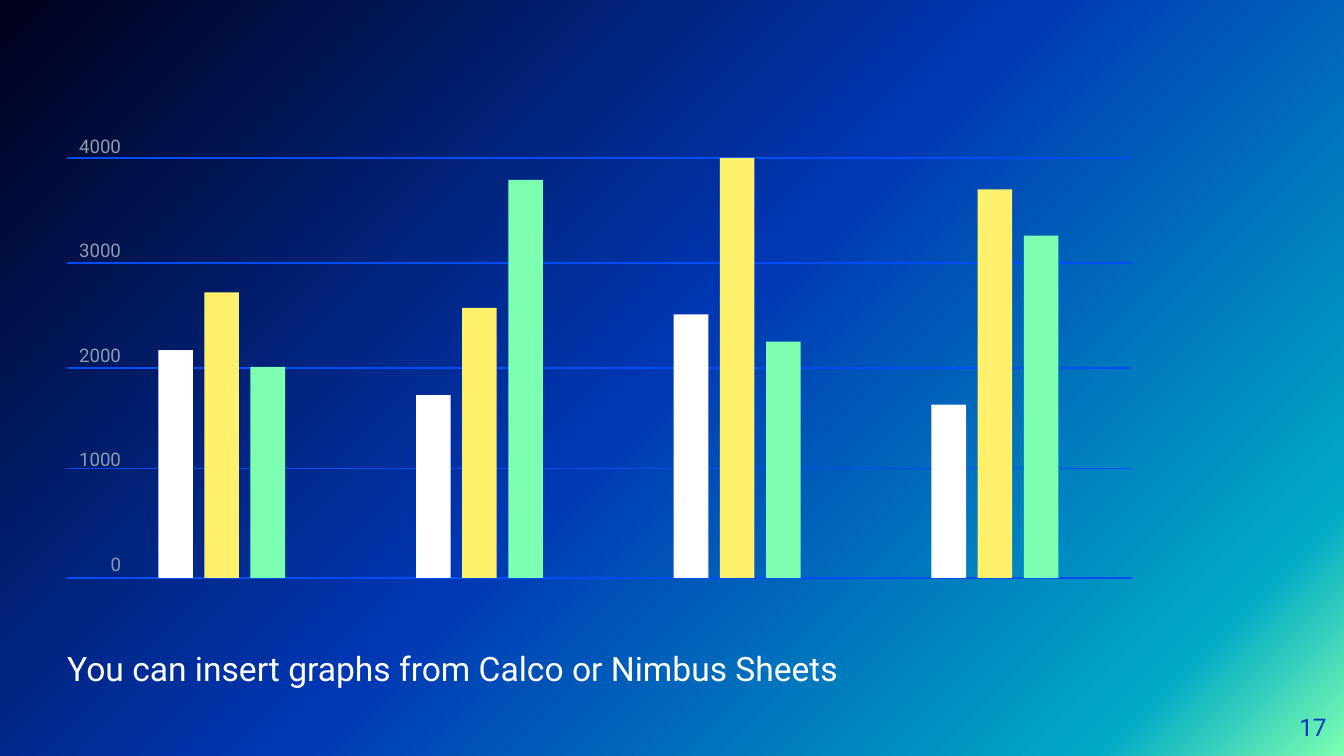
from collections import namedtuple

from lxml.etree import SubElement
from pptx import Presentation
from pptx.dml.color import RGBColor
from pptx.enum.shapes import MSO_CONNECTOR, MSO_SHAPE
from pptx.enum.text import MSO_ANCHOR, PP_ALIGN
from pptx.oxml.ns import qn
from pptx.util import Inches, Pt

COLORS = {
    "white": "FFFFFF",
    "yellow": "FFF16B",
    "mint": "7DFFB1",
    "teal": "00AAC6",
    "blue": "0037B3",
    "night": "00001A",
    "grid": "004CF8",
    "axis": "9199AA",
}
FONT = "Roboto"
WIDTH = Inches(10)
HEIGHT = WIDTH * 9 // 16
CELL = WIDTH // 100  # the slide is a grid of 100 columns

BACKDROP = [(0, "mint"), (12, "teal"), (51, "blue"), (100, "night")]
SERIES_COLORS = ["white", "yellow", "mint"]
CATEGORIES = [
    (2170, 2720, 2010),
    (1740, 2570, 3790),
    (2510, 4000, 2250),
    (1650, 3700, 3260),
]
AXIS_MAX = 4000
AXIS_LABELS = ["4000", "3000", "2000", "1000", "0"]
GRIDLINE_SHARES = [0, 0.25, 0.5, 0.74, 1]

# Columns of the chart's own grid
CHART_COLUMNS = 92.3
FIRST_BAR, BAR_WIDTH, BAR_STEP, CATEGORY_STEP = 7.9, 3, 4, 22.35

Box = namedtuple("Box", "left top width height")


def grid_box(column, row, columns, rows):
    return Box(*(round(count * CELL) for count in (column, row, columns, rows)))


def rgb(name):
    return RGBColor.from_string(COLORS[name])


def paint_backdrop(slide):
    fill = slide.background.fill
    fill.gradient()
    fill.gradient_angle = 135
    stops = slide.element.find(".//" + qn("a:gsLst"))
    stops.clear()
    for percent, color in BACKDROP:
        stop = SubElement(stops, qn("a:gs"), pos=str(percent * 1000))
        SubElement(stop, qn("a:srgbClr"), val=COLORS[color])


def add_text(slide, box, lines, size, color, align=PP_ALIGN.LEFT,
             anchor=MSO_ANCHOR.TOP):
    """Add a text box without margins and return its paragraphs."""
    frame = slide.shapes.add_textbox(*box).text_frame
    frame.word_wrap = True
    frame.vertical_anchor = anchor
    frame.margin_left = frame.margin_right = 0
    frame.margin_top = frame.margin_bottom = 0
    frame.text = "\n".join(lines)
    for paragraph in frame.paragraphs:
        paragraph.alignment = align
        font = paragraph.runs[0].font
        font.name, font.size = FONT, Pt(size)
        font.color.rgb = rgb(color)
    return frame.paragraphs


def add_gridlines(slide, box):
    for share in GRIDLINE_SHARES:
        y = box.top + round(share * box.height)
        gridline = slide.shapes.add_connector(
            MSO_CONNECTOR.STRAIGHT, box.left, y, box.left + box.width, y)
        gridline.line.color.rgb = rgb("grid")
        gridline.line.width = Pt(0.75)
        SubElement(gridline.element.spPr, qn("a:effectLst"))


def add_axis_labels(slide, box):
    labels = add_text(slide, box, AXIS_LABELS, 10, "axis", PP_ALIGN.RIGHT)
    for label in labels[1:]:
        label.space_before = Pt(44)


def add_bars(slide, box):
    column = box.width / CHART_COLUMNS
    for category, values in enumerate(CATEGORIES):
        for series, (value, color) in enumerate(zip(values, SERIES_COLORS)):
            position = FIRST_BAR + category * CATEGORY_STEP + series * BAR_STEP
            height = round(box.height * value / AXIS_MAX)
            bar = slide.shapes.add_shape(
                MSO_SHAPE.RECTANGLE,
                box.left + round(position * column),
                box.top + box.height - height,
                round(BAR_WIDTH * column), height)
            bar.shadow.inherit = False
            bar.fill.solid()
            bar.fill.fore_color.rgb = rgb(color)
            bar.line.fill.background()


def add_bar_graph(slide, box):
    add_gridlines(slide, box)
    label_rise = round(1.75 * CELL)
    add_axis_labels(slide, Box(box.left, box.top - label_rise,
                               4 * CELL, box.height + label_rise))
    add_bars(slide, box)


def add_caption(slide, box):
    caption, = add_text(
        slide, box, ["You can insert graphs from Calco or Nimbus Sheets"],
        18, "white")
    caption.space_before = Pt(3.6)


def add_page_number(slide, box):
    add_text(slide, box, ["17"], 13, "blue", PP_ALIGN.RIGHT, MSO_ANCHOR.MIDDLE)


def main():
    presentation = Presentation()
    presentation.slide_width, presentation.slide_height = WIDTH, HEIGHT
    slide = presentation.slides.add_slide(presentation.slide_layouts[6])
    paint_backdrop(slide)
    add_caption(slide, grid_box(5, 48.2, 65.9, 5.7))
    add_page_number(slide, grid_box(92.7, 51.9, 6, 4.3))
    add_bar_graph(slide, grid_box(5, 11.75, 79.2, 31.25))
    presentation.save("out.pptx")


if __name__ == "__main__":
    main()
